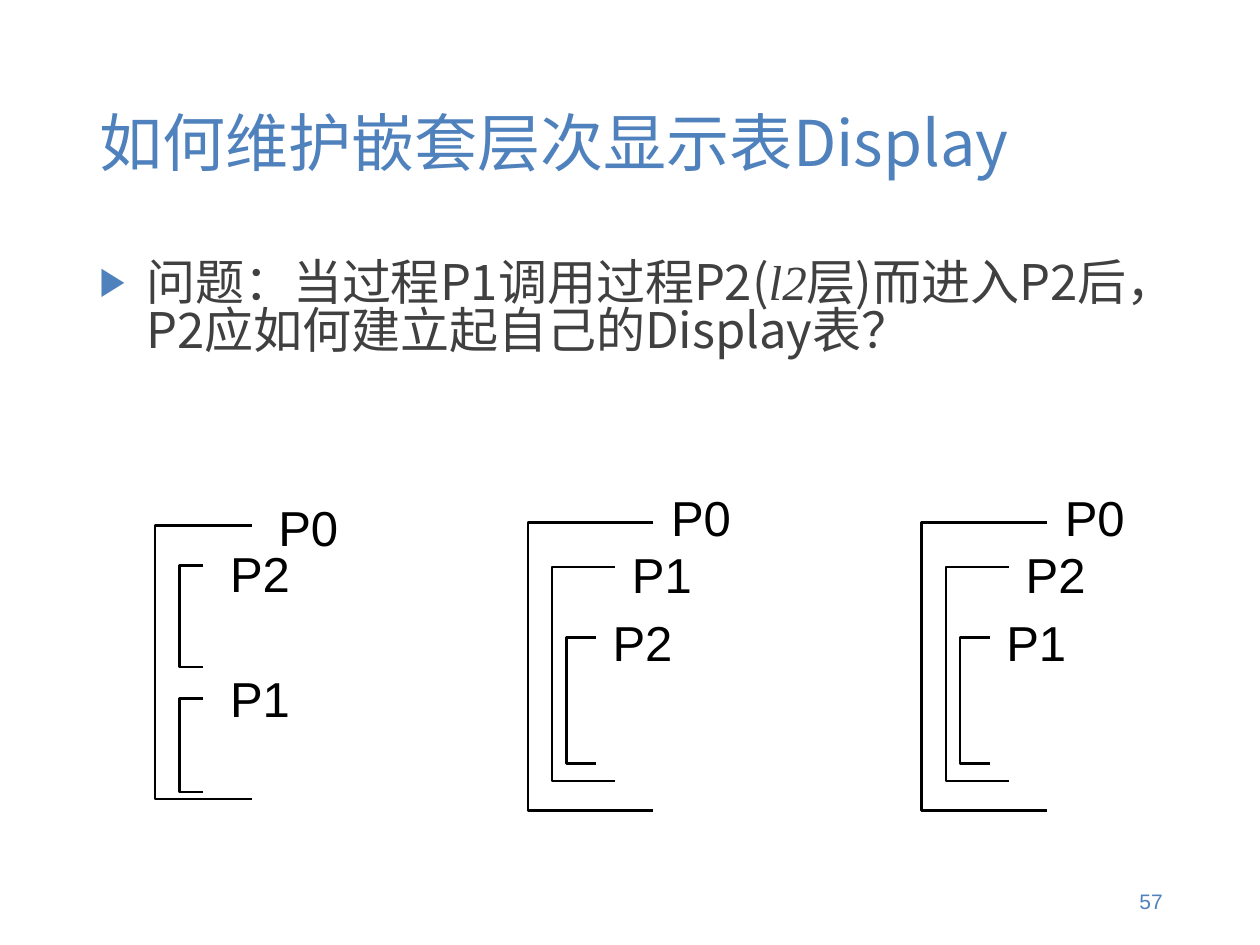
from lxml import etree
from pptx import Presentation
from pptx.dml.color import RGBColor
from pptx.enum.text import MSO_ANCHOR, MSO_AUTO_SIZE, PP_ALIGN
from pptx.oxml.ns import qn
from pptx.util import Cm, Pt

MIDDLE, TOP = MSO_ANCHOR.MIDDLE, MSO_ANCHOR.TOP
LEFT, CENTER, RIGHT = PP_ALIGN.LEFT, PP_ALIGN.CENTER, PP_ALIGN.RIGHT
NO_FIT = MSO_AUTO_SIZE.NONE
BLUE, GREY, BLACK = "4F81BD", "404040", "000000"
CJK_FONT, LATIN_FONT, MATH_FONT = "Noto Sans CJK SC", "Arial", "Times New Roman"


def color(hex_code):
    return RGBColor.from_string(hex_code)


def style(para, size, font, hex_code, align):
    para.alignment = align
    for span in para.runs:
        span.font.size = Pt(size)
        span.font.name = font
        span.font.color.rgb = color(hex_code)
        east_asian = etree.SubElement(span.font._element, qn("a:ea"))
        east_asian.set("typeface", font)


deck = Presentation()
deck.slide_width, deck.slide_height = Cm(28), Cm(21)
page = deck.slides.add_slide(deck.slide_layouts[1])

# Title
title = page.shapes.title
title.left, title.top, title.width, title.height = Cm(1.93), Cm(1.12), Cm(24.16), Cm(4.06)
frame = title.text_frame
frame.text = "如何维护嵌套层次显示表Display"
frame.vertical_anchor = MIDDLE
frame.auto_size = NO_FIT
frame.margin_left = Cm(0.28)
style(frame.paragraphs[0], 39.7, CJK_FONT, BLUE, LEFT)

# Question with a triangle bullet
body = page.placeholders[1]
body.left, body.top, body.width, body.height = Cm(1.93), Cm(5.59), Cm(24.16), Cm(13.34)
frame = body.text_frame
frame.vertical_anchor = TOP
frame.auto_size = NO_FIT
frame.margin_left, frame.margin_top = Cm(0.28), Cm(0.23)
para = frame.paragraphs[0]
para.line_spacing = 0.82
para.space_before = Pt(0)
for text in ("问题：当过程P1调用过程P2(", "l2", "层)而进入P2后，P2应如何建立起自己的Display表？"):
    para.add_run().text = text
style(para, 30.9, CJK_FONT, GREY, LEFT)
level_name = para.runs[1]
level_name.font.name = MATH_FONT
level_name.font.italic = True

properties = para._p.get_or_add_pPr()
properties.set("marL", str(Cm(1.04)))
properties.set("indent", str(-Cm(1.04)))
bullet_color = etree.SubElement(properties, qn("a:buClr"))
etree.SubElement(bullet_color, qn("a:srgbClr")).set("val", BLUE)
etree.SubElement(properties, qn("a:buSzPct")).set("val", "80000")
etree.SubElement(properties, qn("a:buFont")).set("typeface", LATIN_FONT)
etree.SubElement(properties, qn("a:buChar")).set("char", "▶")

# Nesting diagrams: bracket offset, top, width, height, then label offset and top
SIBLINGS = [
    (0, 11.68, 2.15, 6.07, 2.13, 11.0),
    (0.54, 12.57, 0.53, 2.25, 1.06, 12.04),
    (0.54, 15.52, 0.53, 2.08, 1.06, 14.81),
]
NESTED = [
    (0, 11.61, 2.79, 6.4, 2.58, 10.79),
    (0.54, 12.6, 1.4, 4.76, 1.71, 12.06),
    (0.86, 14.17, 0.65, 2.8, 1.28, 13.56),
]
DIAGRAMS = [
    (3.45, SIBLINGS, ("P0", "P2", "P1")),
    (11.73, NESTED, ("P0", "P1", "P2")),
    (20.48, NESTED, ("P0", "P2", "P1")),
]
for origin, brackets, names in DIAGRAMS:
    for (offset, top, width, height, label_offset, label_top), name in zip(brackets, names):
        left = origin + offset
        right, bottom = Cm(left + width), Cm(top + height)
        outline = page.shapes.build_freeform(right, Cm(top))
        outline.add_line_segments(
            [(Cm(left), Cm(top)), (Cm(left), bottom), (right, bottom)], close=False)
        bracket = outline.convert_to_shape()
        bracket.shadow.inherit = False
        bracket.fill.background()
        bracket.line.color.rgb = color(BLACK)
        bracket.line.width = Pt(1.5)

        label = page.shapes.add_textbox(
            Cm(origin + label_offset), Cm(label_top), Cm(2.54), Cm(1.4))
        label.text_frame.text = name
        label.text_frame.word_wrap = False
        label.text_frame.vertical_anchor = MIDDLE
        style(label.text_frame.paragraphs[0], 30.9, LATIN_FONT, BLACK, CENTER)

# Page number
number = page.shapes.add_textbox(Cm(19.79), Cm(19.46), Cm(6.3), Cm(1.12))
number.text_frame.text = "57"
number.text_frame.word_wrap = True
number.text_frame.vertical_anchor = MIDDLE
style(number.text_frame.paragraphs[0], 13.2, LATIN_FONT, BLUE, RIGHT)

deck.save("out.pptx")
